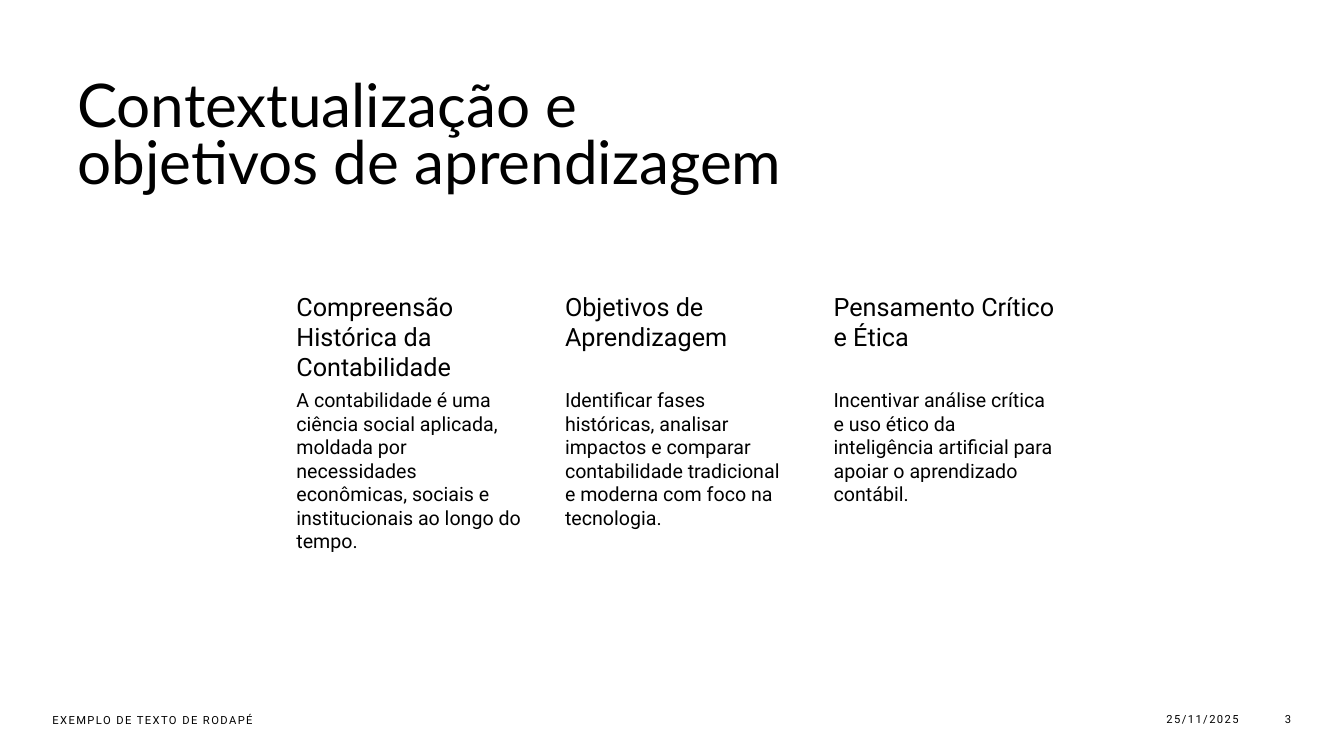
import dataclasses

import pptx
import pptx.dml.color
import pptx.enum.text
import pptx.util

Cm = pptx.util.Cm
Pt = pptx.util.Pt
ALIGN = pptx.enum.text.PP_ALIGN
ANCHOR = pptx.enum.text.MSO_ANCHOR


@dataclasses.dataclass(frozen=True)
class Theme:
    background: str = "FFFFFF"
    ink: str = "000000"
    title_font: str = "Lato"
    body_font: str = "Roboto"
    title_size: int = 43
    heading_size: int = 18
    body_size: int = 14
    footer_size: int = 8


theme = Theme()


def add_text(box, text, size, font=theme.body_font, insets=(0.25, 0.13, 0.25, 0.13)):
    """Add a one-paragraph text box; box and insets (left, top, right, bottom) are in cm."""
    tf = slide.shapes.add_textbox(*map(Cm, box)).text_frame
    tf.word_wrap = True
    tf.margin_left, tf.margin_top, tf.margin_right, tf.margin_bottom = map(Cm, insets)
    p = tf.paragraphs[0]
    p.text = text
    p.font.name = font
    p.font.size = Pt(size)
    p.font.color.rgb = pptx.dml.color.RGBColor.from_string(theme.ink)
    return tf


prs = pptx.Presentation()
prs.slide_width, prs.slide_height = Cm(33.87), Cm(19.05)
slide = prs.slides.add_slide(prs.slide_layouts[6])
fill = slide.background.fill
fill.solid()
fill.fore_color.rgb = pptx.dml.color.RGBColor.from_string(theme.background)

# Title
tf = add_text((1.7, 1.91, 18.42, 4.67), "Contextualização e objetivos de aprendizagem",
              theme.title_size, theme.title_font)
tf.paragraphs[0].line_spacing = 0.8

# Three topic columns
topics = [
    ("Compreensão Histórica da Contabilidade",
     "A contabilidade é uma ciência social aplicada, moldada por necessidades "
     "econômicas, sociais e institucionais ao longo do tempo."),
    ("Objetivos de Aprendizagem",
     "Identificar fases históricas, analisar impactos e comparar contabilidade "
     "tradicional e moderna com foco na tecnologia."),
    ("Pensamento Crítico e Ética",
     "Incentivar análise crítica e uso ético da inteligência artificial para "
     "apoiar o aprendizado contábil."),
]
column_left, column_pitch, column_width = 7.09, 6.77, 6.15
for i, (heading, body) in enumerate(topics):
    left = column_left + i * column_pitch
    add_text((left, 7.26, column_width, 2.46), heading, theme.heading_size,
             insets=(0.38, 0.08, 0.08, 0.08))
    add_text((left, 9.73, column_width, 7.16), body, theme.body_size,
             insets=(0.38, 0.05, 0.05, 0.05))

# Footer
footer = [
    ((1.07, 17.63, 8.89, 1.02), "EXEMPLO DE TEXTO DE RODAPÉ", ALIGN.LEFT),
    ((26.47, 17.6, 5, 1.02), "25/11/2025", ALIGN.RIGHT),
    ((31.6, 17.6, 1.19, 1.02), "3", ALIGN.RIGHT),
]
for box, text, align in footer:
    tf = add_text(box, text, theme.footer_size)
    tf.vertical_anchor = ANCHOR.MIDDLE
    p = tf.paragraphs[0]
    p.alignment = align
    p.space_after = Pt(6)
    # Letter spacing in hundredths of a point
    p.runs[0]._r.get_or_add_rPr().set("spc", "100")

prs.save("out.pptx")
